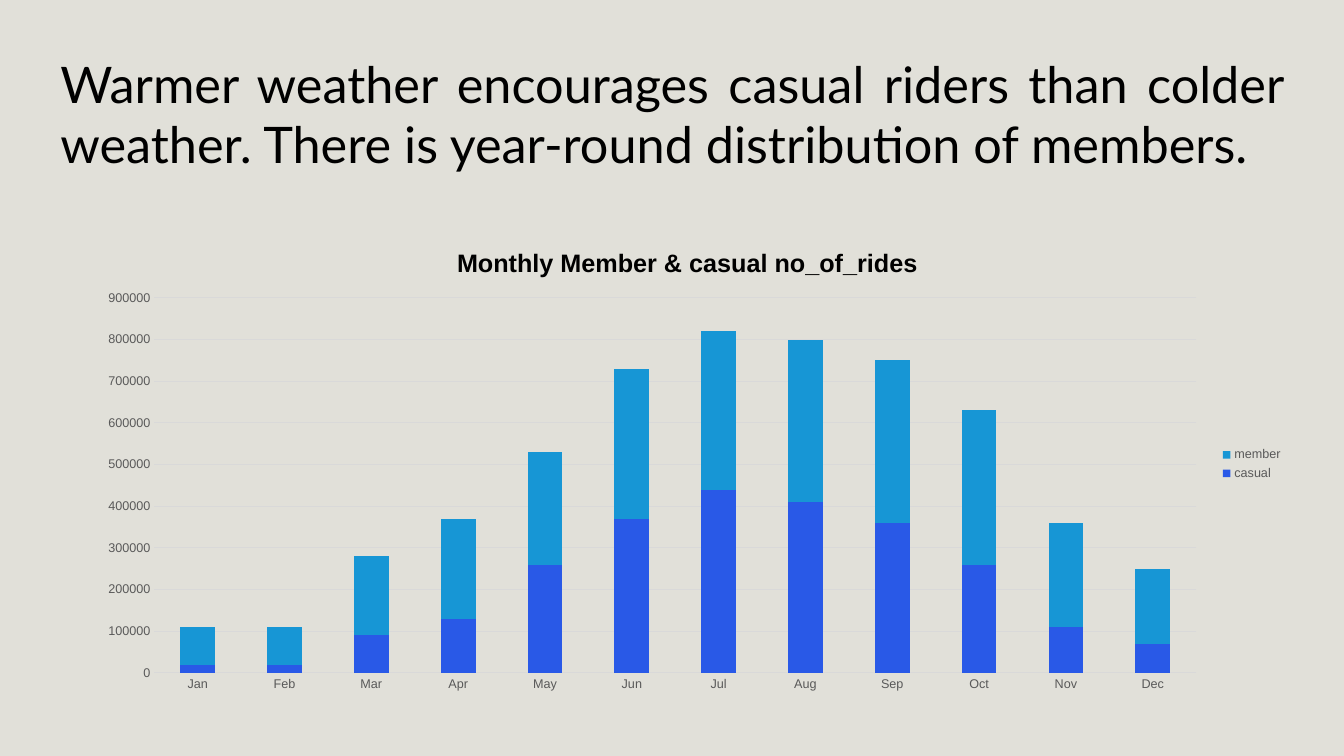
"""Build a slide on monthly rides by members and casual riders."""
from lxml.etree import fromstring
from pptx import Presentation
from pptx.chart.data import CategoryChartData
from pptx.dml.color import RGBColor
from pptx.enum.chart import XL_CHART_TYPE as Kind, XL_LEGEND_POSITION as Side, XL_TICK_MARK as Tick
from pptx.enum.text import MSO_ANCHOR as Anchor, PP_ALIGN as Align
from pptx.util import Pt

HEAD = ("Warmer weather encourages casual riders than colder weather. "
        "There is year-round distribution of members.")
TITLE = "Monthly Member & casual no_of_rides"
MONTHS = "Jan Feb Mar Apr May Jun Jul Aug Sep Oct Nov Dec".split()
RIDES = [
    ("casual", "2959E7", (20000, 20000, 90000, 130000, 260000, 370000,
                          440000, 410000, 360000, 260000, 110000, 70000)),
    ("member", "1796D5", (90000, 90000, 190000, 240000, 270000, 360000,
                          380000, 390000, 390000, 370000, 250000, 180000)),
]
PAPER, BLACK, GREY, RULE = "E1E0D9", "000000", "595959", "D9D9D9"
HEAD_BOX = (36, 28.8, 888, 104.4)
CHART_BOX = (58.3, 162, 865.4, 339.1)
PLOT = {"x": 0.06, "y": 0.15, "w": 0.86, "h": 0.79}
NS = "http://schemas.openxmlformats.org/drawingml/2006/chart"


def paint(fill, color):
    fill.solid()
    fill.fore_color.rgb = RGBColor.from_string(color)


def style(font, size, color=BLACK, face="Arial", bold=False):
    font.size, font.name, font.bold = Pt(size), face, bold
    paint(font.fill, color)


def write(frame, text, align=Align.CENTER, **look):
    para = frame.paragraphs[0]
    para.alignment = align
    run = para.add_run()
    run.text = text
    style(run.font, **look)


def rule(line):
    line.width = Pt(0.75)
    paint(line.fill, RULE)


def place(chart):
    parts = "".join(f'<c:{key} val="{val}"/>' for key, val in PLOT.items())
    layout = fromstring(
        f'<c:layout xmlns:c="{NS}"><c:manualLayout><c:layoutTarget val="inner"/>'
        f'<c:xMode val="edge"/><c:yMode val="edge"/>{parts}</c:manualLayout></c:layout>')
    area = chart.plots[0]._element.getparent()
    for old in area.findall(f"{{{NS}}}layout"):
        area.remove(old)
    area.insert(0, layout)


def add_rides(slide):
    data = CategoryChartData()
    data.categories = MONTHS
    for name, _, vals in RIDES:
        data.add_series(name, vals)
    chart = slide.shapes.add_chart(Kind.COLUMN_STACKED, *map(Pt, CHART_BOX), data).chart
    style(chart.font, 10)
    chart.has_title = True
    write(chart.chart_title.text_frame, TITLE, size=18, bold=True)
    chart.chart_title.include_in_layout = False
    chart.has_legend = True
    chart.legend.position = Side.RIGHT
    chart.legend.include_in_layout = False
    style(chart.legend.font, 9, GREY)

    plot = chart.plots[0]
    plot.gap_width, plot.overlap, plot.vary_by_categories = 150, 100, False
    for bar, (_, color, _) in zip(plot.series, RIDES):
        paint(bar.format.fill, color)

    cats, vals = chart.category_axis, chart.value_axis
    for axis in (cats, vals):
        axis.major_tick_mark = axis.minor_tick_mark = Tick.NONE
        style(axis.tick_labels.font, 9, GREY)
    rule(cats.format.line)
    vals.format.line.fill.background()
    vals.minimum_scale, vals.maximum_scale, vals.major_unit = 0, 900000, 100000
    vals.has_major_gridlines = True
    rule(vals.major_gridlines.format.line)
    place(chart)


def main():
    deck = Presentation()
    deck.slide_width, deck.slide_height = Pt(960), Pt(540)
    slide = deck.slides.add_slide(deck.slide_layouts[6])
    paint(slide.background.fill, PAPER)
    frame = slide.shapes.add_textbox(*map(Pt, HEAD_BOX)).text_frame
    frame.word_wrap = True
    frame.vertical_anchor = Anchor.MIDDLE
    write(frame, HEAD, Align.JUSTIFY, size=36, face="Lato")
    add_rides(slide)
    deck.save("out.pptx")


if __name__ == "__main__":
    main()
